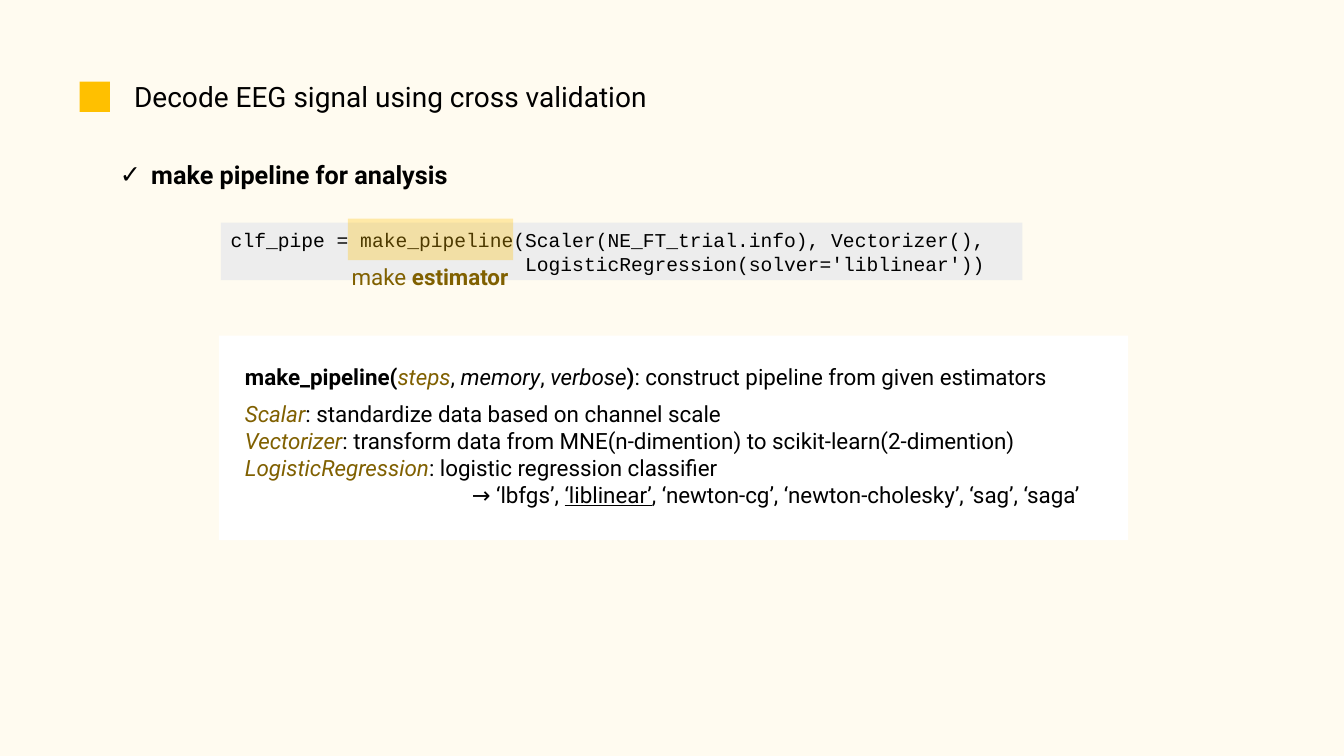
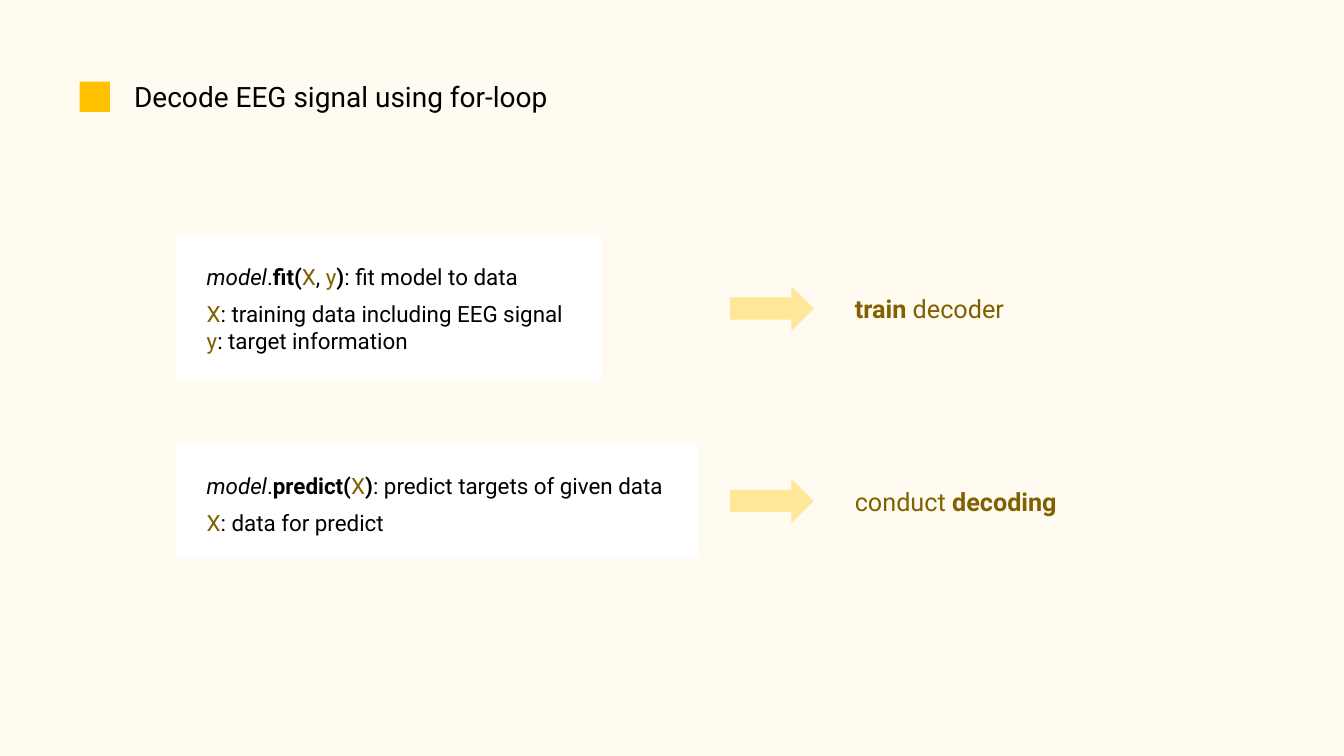
"""Build two slides on decoding EEG signals with pipelines and loops."""
import pptx
import pptx.dml.color
import pptx.enum.shapes
import pptx.enum.text
import pptx.oxml.ns
import pptx.util
from lxml import etree

Inches = pptx.util.Inches
Pt = pptx.util.Pt
KIND = pptx.enum.shapes.MSO_SHAPE
ANCHOR = pptx.enum.text.MSO_ANCHOR

HUES = {"back": "FFFBF0", "mark": "FFC000", "card": "FFFFFF", "code": "EDEDED",
        "text": "000000", "gold": "806000", "arrow": "FFE699"}
FONT, MONO = "Roboto", "Courier New"

TITLES = ["Decode EEG signal using cross validation",
          "Decode EEG signal using for-loop"]
TOPIC = "make pipeline for analysis"
CODE = ["clf_pipe = make_pipeline(Scaler(NE_FT_trial.info), Vectorizer(),",
        "LogisticRegression(solver='liblinear'))"]
NOTE = [("make ", "g"), ("estimator", "gb")]

# Run styles: g gold, b bold, i italic, u underlined.
STEPS = [
    [("make_pipeline(", "b"), ("steps", "gi"), (", ", ""), ("memory", "i"),
     (", ", ""), ("verbose", "i"), (")", "b"),
     (": construct pipeline from given estimators", "")],
    [("Scalar", "gi"), (": standardize data based on channel scale", "")],
    [("Vectorizer", "gi"),
     (": transform data from MNE(n-dimention) to scikit-learn(2-dimention)", "")],
    [("LogisticRegression", "gi"), (": logistic regression classifier", "")],
    [("→ ‘lbfgs’, ", ""), ("‘liblinear’", "u"),
     (", ‘newton-cg’, ‘newton-cholesky’, ‘sag’, ‘saga’", "")],
]
CALLS = [
    {"top": 2.34, "size": (4.21, 1.44), "mid": 3.06,
     "lines": [
         [("model", "i"), (".", ""), ("fit(", "b"), ("X", "g"), (",", ""),
          (" y", "g"), (")", "b"), (": fit model to data", "")],
         [("X", "g"), (": training data including EEG signal", "")],
         [("y", "g"), (": target information", "")]],
     "goal": [("train", "gb"), (" decoder", "g")]},
    {"top": 4.41, "size": (5.18, 1.13), "mid": 4.97,
     "lines": [
         [("model", "i"), (".", ""), ("predict(", "b"), ("X", "g"),
          (")", "b"), (": predict targets of given data", "")],
         [("X", "g"), (": data for predict", "")]],
     "goal": [("conduct ", "g"), ("decoding", "gb")]},
]


def hue(name):
    return pptx.dml.color.RGBColor.from_string(HUES[name])


def add_box(slide, kind, at, fill):
    box = slide.shapes.add_shape(kind, *map(Inches, at))
    box.shadow.inherit = False
    box.fill.solid()
    box.fill.fore_color.rgb = hue(fill)
    box.line.fill.background()
    return box


def set_frame(shape, left=0.1, top=0.05, anchor=ANCHOR.TOP):
    frame = shape.text_frame
    frame.word_wrap = True
    frame.auto_size = pptx.enum.text.MSO_AUTO_SIZE.NONE
    frame.vertical_anchor = anchor
    frame.margin_left, frame.margin_top = Inches(left), Inches(top)
    frame.margin_right, frame.margin_bottom = Inches(0.1), Inches(0.05)
    return frame


def write(frame, lines, size, font=FONT):
    """Fill the frame with one paragraph per list of styled runs."""
    for num, runs in enumerate(lines):
        para = frame.add_paragraph() if num else frame.paragraphs[0]
        para.alignment = pptx.enum.text.PP_ALIGN.LEFT
        para.space_before = Pt(0)
        para.font.name, para.font.size = font, Pt(size)
        para.font.color.rgb = hue("text")
        for text, style in runs:
            run = para.add_run()
            run.text = text
            if "g" in style:
                run.font.color.rgb = hue("gold")
            if "b" in style:
                run.font.bold = True
            if "i" in style:
                run.font.italic = True
            if "u" in style:
                run.font.underline = True
    return frame.paragraphs


def indent(para, left, first=0):
    props = para._p.get_or_add_pPr()
    props.set("marL", str(Inches(left)))
    props.set("indent", str(Inches(first)))
    return props


def place(shape, at):
    shape.left, shape.top, shape.width, shape.height = map(Inches, at)


def add_page(deck, layout, title):
    slide = deck.slides.add_slide(deck.slide_layouts[layout])
    place(slide.shapes.title, (1.23, 0.74, 11, 0.44))
    write(set_frame(slide.shapes.title), [[(title, "")]], 20)
    add_box(slide, KIND.RECTANGLE, (0.79, 0.81, 0.3, 0.3), "mark")
    return slide


def add_label(slide, at, runs, size, anchor=ANCHOR.TOP):
    label = slide.shapes.add_textbox(*map(Inches, at))
    write(set_frame(label, anchor=anchor), [runs], size)


def add_card(slide, at, lines, inset):
    card = add_box(slide, KIND.RECTANGLE, at, "card")
    paras = write(set_frame(card, inset, 0.27), lines, 16)
    paras[0].space_after = Pt(7.5)
    return paras


def add_topic(slide):
    body = slide.placeholders[1]
    place(body, (1.09, 1.53, 5, 0.4))
    para = write(set_frame(body), [[(TOPIC, "b")]], 18)[0]
    props = indent(para, 0.31, -0.31)
    bullet = etree.Element(pptx.oxml.ns.qn("a:buChar"), char="✓")
    props.insert_element_before(bullet, "a:tabLst", "a:defRPr", "a:extLst")


def add_code(slide):
    box = add_box(slide, KIND.RECTANGLE, (2.19, 2.21, 7.95, 0.57), "code")
    lines = [[(line, "")] for line in CODE]
    paras = write(set_frame(box, anchor=ANCHOR.MIDDLE), lines, 14, MONO)
    indent(paras[1], 2.92)
    glow = add_box(slide, KIND.RECTANGLE, (3.45, 2.17, 1.64, 0.41), "mark")
    color = glow._element.spPr.find(".//" + pptx.oxml.ns.qn("a:srgbClr"))
    etree.SubElement(color, pptx.oxml.ns.qn("a:alpha"), val="30000")
    add_label(slide, (3.39, 2.56, 1.9, 0.37), NOTE, 16)


def add_call(slide, call):
    add_card(slide, (1.75, call["top"], *call["size"]), call["lines"], 0.3)
    mid = call["mid"]
    add_box(slide, KIND.RIGHT_ARROW, (7.24, mid - 0.22, 0.83, 0.44), "arrow")
    add_label(slide, (8.38, mid - 0.2, 2.6, 0.4), call["goal"], 18,
              ANCHOR.MIDDLE)


def main():
    deck = pptx.Presentation()
    deck.slide_width, deck.slide_height = Inches(13.33), Inches(7.5)
    back = deck.slide_master.background.fill
    back.solid()
    back.fore_color.rgb = hue("back")

    pipe = add_page(deck, 1, TITLES[0])
    add_topic(pipe)
    add_code(pipe)
    paras = add_card(pipe, (2.17, 3.33, 9.02, 2.03), STEPS, 0.26)
    indent(paras[-1], 2.25)

    loop = add_page(deck, 5, TITLES[1])
    for call in CALLS:
        add_call(loop, call)
    deck.save("out.pptx")


if __name__ == "__main__":
    main()
